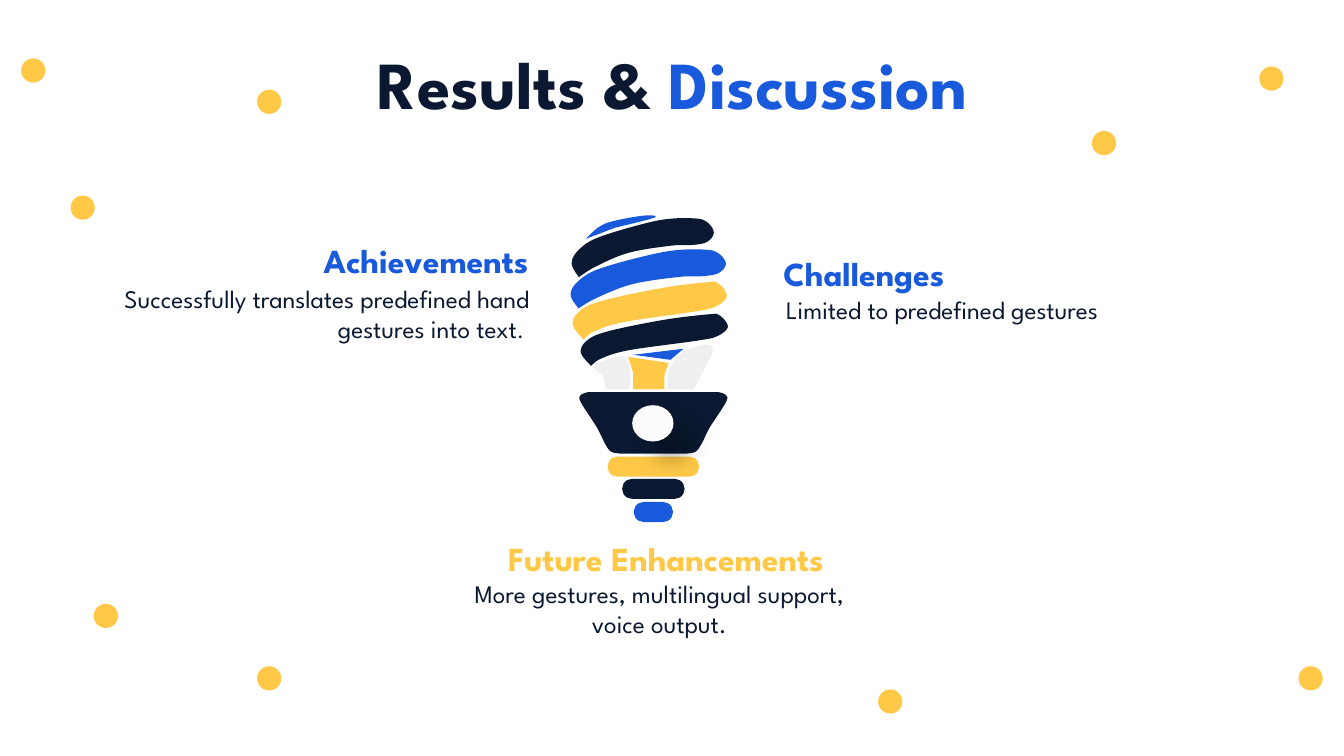
"""Build the "Results & Discussion" slide with a spiral light bulb and three captions."""
import dataclasses
from typing import Any

import lxml.etree
import pptx
import pptx.dml.color
import pptx.enum.shapes
import pptx.enum.text
import pptx.oxml.ns
import pptx.util

Point = tuple[float, float]

NAVY, BLUE, YELLOW = "0A1931", "185ADB", "FFC947"
PALE, WHITE = "EFEFEF", "FCFCFC"
FONT = "League Spartan"
CURVE_STEPS = 6
DOT_SIZE = 0.24
BAR_HEIGHT = 0.2
BULB_AXIS = 6.48
LEFT = pptx.enum.text.PP_ALIGN.LEFT
CENTER = pptx.enum.text.PP_ALIGN.CENTER
RIGHT = pptx.enum.text.PP_ALIGN.RIGHT
OVAL = pptx.enum.shapes.MSO_SHAPE.OVAL
ROUNDED = pptx.enum.shapes.MSO_SHAPE.ROUNDED_RECTANGLE


@dataclasses.dataclass
class Band:
    """A coil of the bulb: a unit profile stretched over an area."""
    color: str
    profile: list[Point]
    area: tuple[float, float, float, float]


@dataclasses.dataclass
class Piece:
    """A small part of the bulb, curved or straight between its points."""
    color: str
    curved: bool
    points: list[Point]


@dataclasses.dataclass
class Bar:
    """A rounded bar of the screw base."""
    width: float
    top: float
    color: str


@dataclasses.dataclass
class Span:
    """A piece of text with one look."""
    text: str
    size: float
    color: str
    bold: bool = False


@dataclasses.dataclass
class Caption:
    """A text box with one paragraph."""
    area: tuple[float, float, float, float]
    align: Any
    spans: list[Span]


DOTS = [(0.82, 2.06), (2.67, 1.01), (0.33, 0.7), (8.83, 6.96), (13, 6.73),
        (10.95, 1.42), (12.61, 0.78), (2.67, 6.73), (1.05, 6.11)]

BARS = [Bar(0.91, 4.53, YELLOW), Bar(0.62, 4.75, NAVY), Bar(0.39, 4.98, BLUE)]

ARCHED = [(0.05, 1), (0.17, 0.82), (0.4, 0.59), (0.7, 0.47), (0.84, 0.46), (0.95, 0.41), (1, 0.25),
          (0.95, 0.07), (0.85, 0.01), (0.6, 0.05), (0.2, 0.32), (0.05, 0.54), (0, 0.77), (0.05, 1)]
FLAT = [(0.07, 1), (0.14, 0.86), (0.33, 0.7), (0.79, 0.52), (0.93, 0.43), (1, 0.25),
        (0.94, 0.03), (0.86, 0.02), (0.57, 0.12), (0.2, 0.33), (0.05, 0.5), (0, 0.74), (0.07, 1)]

BANDS = [
    Band(BLUE, ARCHED, (5.66, 2.47, 1.54, 0.59)),
    Band(YELLOW, FLAT, (5.68, 2.79, 1.53, 0.58)),
    Band(NAVY, FLAT, (5.76, 3.11, 1.46, 0.52)),
    Band(NAVY, ARCHED, (5.67, 2.16, 1.41, 0.59)),
]

PIECES = [
    Piece(PALE, True, [(6.62, 3.86), (6.64, 3.66), (6.78, 3.49), (6.99, 3.42),
                       (7.07, 3.47), (6.99, 3.65), (6.88, 3.86)]),
    Piece(YELLOW, False, [(6.28, 3.86), (6.28, 3.7), (6.23, 3.54), (6.63, 3.6),
                          (6.59, 3.72), (6.59, 3.86)]),
    Piece(PALE, True, [(6.01, 3.86), (5.98, 3.74), (5.89, 3.64), (5.98, 3.58),
                       (6.18, 3.54), (6.25, 3.68), (6.25, 3.86)]),
    Piece(BLUE, True, [(5.81, 2.37), (6, 2.22), (6.38, 2.14), (6.49, 2.16), (6.1, 2.26)]),
    Piece(BLUE, False, [(6.28, 3.52), (6.78, 3.46), (6.65, 3.57)]),
]

SOCKET_SIDE = [(5.83, 3.89), (5.76, 3.92), (5.76, 3.99), (5.92, 4.24),
               (6, 4.4), (6.06, 4.48), (6.15, 4.5)]

CAPTIONS = [
    Caption((7.7, 2.87, 4.67, 0.4), LEFT, [Span("Limited to predefined gestures", 18, NAVY)]),
    Caption((7.67, 2.46, 2.08, 0.5), LEFT, [Span("Challenges", 24, BLUE, True)]),
    Caption((0.71, 2.76, 4.64, 0.71), RIGHT, [
        Span("Successfully translates predefined hand gestures into text", 18, NAVY),
        Span(". ", 16, NAVY)]),
    Caption((2.64, 2.33, 2.7, 0.5), RIGHT, [Span("Achievements", 24, BLUE, True)]),
    Caption((4.43, 5.69, 4.22, 0.71), CENTER, [
        Span("More gestures, multilingual support, voice output.", 18, NAVY)]),
    Caption((4.68, 5.29, 3.85, 0.5), CENTER, [Span("Future Enhancements", 24, YELLOW, True)]),
    Caption((1.65, 0.37, 10.04, 0.91), CENTER, [
        Span("Results & ", 48, NAVY, True), Span("Discussion", 48, BLUE, True)]),
]


def length(inches: float) -> pptx.util.Length:
    return pptx.util.Cm(inches * 2.54)


def paint(target: Any, color: str) -> None:
    target.fill.solid()
    target.fill.fore_color.rgb = pptx.dml.color.RGBColor.from_string(color)


def finish(shape: Any, color: str) -> None:
    paint(shape, color)
    shape.line.fill.background()
    shape.shadow.inherit = False


def draw_preset(page: Any, kind: Any, area: tuple[float, ...], color: str) -> Any:
    shape = page.shapes.add_shape(kind, *map(length, area))
    finish(shape, color)
    return shape


def smooth(points: list[Point]) -> list[Point]:
    padded = [points[0], *points, points[-1]]
    curve = [points[0]]
    for a, b, c, d in zip(padded, padded[1:], padded[2:], padded[3:]):
        for part in range(1, CURVE_STEPS + 1):
            t = part / CURVE_STEPS
            x, y = (q + t * ((r - p) + t * ((2 * p - 5 * q + 4 * r - s)
                                            + t * (3 * q - p - 3 * r + s))) / 2
                    for p, q, r, s in zip(a, b, c, d))
            curve.append((x, y))
    return curve


def draw_outline(page: Any, points: list[Point], color: str) -> None:
    corners = [(length(x), length(y)) for x, y in points]
    builder = page.shapes.build_freeform(*corners[0])
    builder.add_line_segments(corners[1:], close=True)
    finish(builder.convert_to_shape(), color)


def draw_bulb(page: Any) -> None:
    for band in BANDS:
        left, top, width, height = band.area
        points = [(left + x * width, top + y * height) for x, y in band.profile]
        draw_outline(page, smooth(points), band.color)
    for piece in PIECES:
        draw_outline(page, smooth(piece.points) if piece.curved else piece.points, piece.color)
    side = smooth(SOCKET_SIDE)
    mirrored = [(2 * BULB_AXIS - x, y) for x, y in reversed(side)]
    draw_outline(page, side + mirrored, NAVY)
    cast_shadow(draw_preset(page, OVAL, (6.27, 4.02, 0.41, 0.36), WHITE))


def cast_shadow(shape: Any) -> None:
    qn = pptx.oxml.ns.qn
    effects = shape.element.spPr.find(qn("a:effectLst"))
    shadow = lxml.etree.SubElement(
        effects, qn("a:outerShdw"), blurRad=str(pptx.util.Pt(15)), dist=str(pptx.util.Pt(18)),
        dir="2700000", algn="ctr", rotWithShape="0")
    color = lxml.etree.SubElement(shadow, qn("a:srgbClr"), val="000000")
    lxml.etree.SubElement(color, qn("a:alpha"), val="30000")


def draw_caption(page: Any, caption: Caption) -> None:
    box = page.shapes.add_textbox(*map(length, caption.area))
    box.text_frame.word_wrap = True
    para = box.text_frame.paragraphs[0]
    para.alignment = caption.align
    for span in caption.spans:
        run = para.add_run()
        run.text = span.text
        run.font.name = FONT
        run.font.size = pptx.util.Pt(span.size)
        run.font.bold = span.bold
        paint(run.font, span.color)


def main() -> None:
    deck = pptx.Presentation()
    deck.slide_width, deck.slide_height = length(13.33), length(7.5)
    page = deck.slides.add_slide(deck.slide_layouts[6])
    for x, y in DOTS:
        draw_preset(page, OVAL, (x - DOT_SIZE / 2, y - DOT_SIZE / 2, DOT_SIZE, DOT_SIZE), YELLOW)
    for bar in BARS:
        area = (BULB_AXIS - bar.width / 2, bar.top, bar.width, BAR_HEIGHT)
        draw_preset(page, ROUNDED, area, bar.color).adjustments[0] = 0.5
    draw_bulb(page)
    for caption in CAPTIONS:
        draw_caption(page, caption)
    deck.save("out.pptx")


if __name__ == "__main__":
    main()
